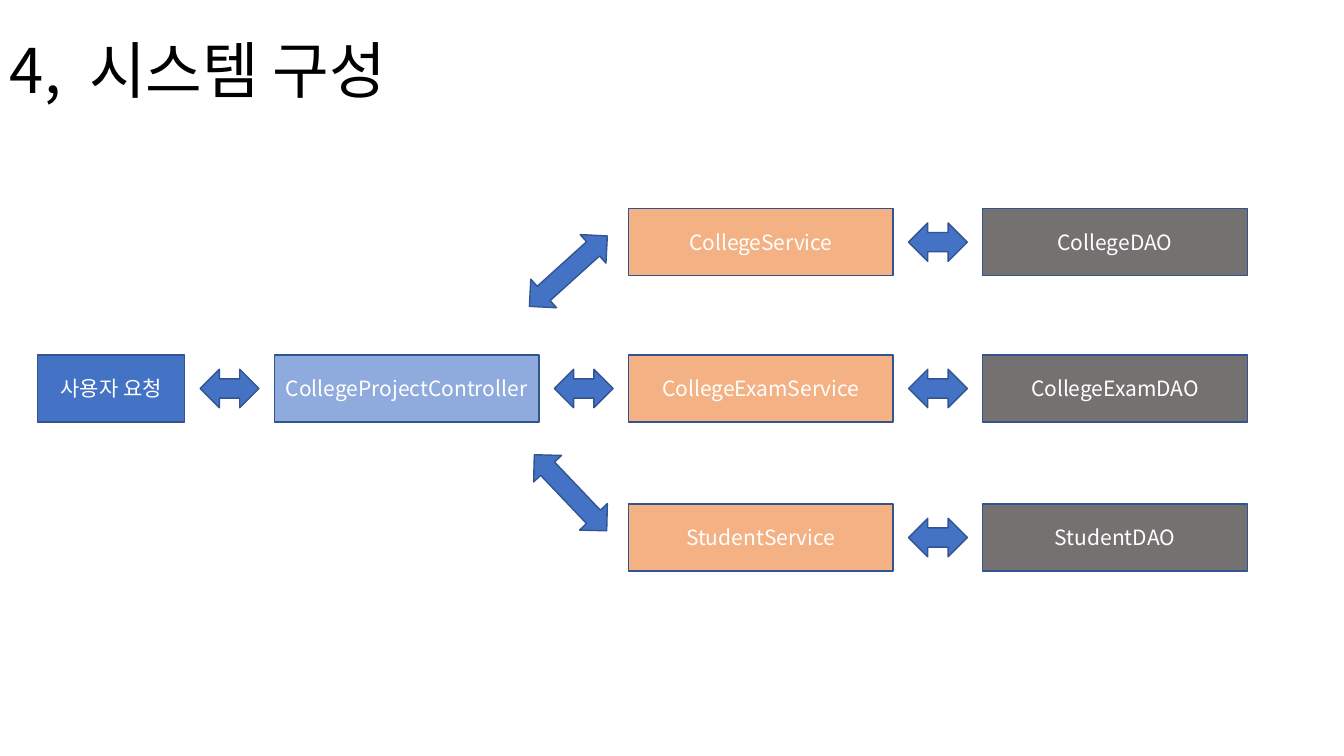
import pptx
import pptx.util
import pptx.dml.color
import pptx.enum.shapes
import pptx.enum.text
import pptx.oxml.ns
import lxml.etree

Pt = pptx.util.Pt
SHAPES = pptx.enum.shapes.MSO_SHAPE
ALIGN = pptx.enum.text.PP_ALIGN
ANCHOR = pptx.enum.text.MSO_ANCHOR

# Content: title pieces as (text, extra letter spacing in points)
TITLE = [("4,", 0), (" ", 10), ("시스템 구성", 0)]
# Layers from left to right: colour, box width, {row: label}
LAYERS = [
    ("request", 105, {1: "사용자 요청"}),
    ("controller", 189, {1: "CollegeProjectController"}),
    ("service", 189, {0: "CollegeService", 1: "CollegeExamService", 2: "StudentService"}),
    ("dao", 189, {0: "CollegeDAO", 1: "CollegeExamDAO", 2: "StudentDAO"}),
]
# Branches from controller to outer services: centre x, centre y, rotation
BRANCHES = [(406, 193.7, 317.9), (407.5, 352, 46.4)]

COLOURS = {
    "request": "4472C4", "controller": "8FAADC", "service": "F4B183",
    "dao": "767171", "arrow": "4472C4", "outline": "325491",
    "title": "000000", "label": "FFFFFF",
}
FONT = "Noto Sans CJK KR"
ROW_TOPS = [149, 253.5, 360]
LEFT, LAYER_GAP, BOX_HEIGHT = 27, 64, 48
ARROW_LENGTH, BRANCH_LENGTH, ARROW_HEIGHT = 42, 75, 27.5


def rgb(name):
    return pptx.dml.color.RGBColor.from_string(COLOURS[name])


def add_run(paragraph, text, size, colour, spacing=0):
    run = paragraph.add_run()
    run.text = text
    run.font.size = Pt(size)
    run.font.name = FONT
    run.font.color.rgb = rgb(colour)
    properties = run.font._element
    east_asian = lxml.etree.SubElement(properties, pptx.oxml.ns.qn("a:ea"))
    east_asian.set("typeface", FONT)
    if spacing:
        properties.set("spc", str(spacing * 100))


def add_block(slide, kind, left, top, width, height, colour):
    block = slide.shapes.add_shape(kind, Pt(left), Pt(top), Pt(width), Pt(height))
    block.shadow.inherit = False
    block.fill.solid()
    block.fill.fore_color.rgb = rgb(colour)
    block.line.color.rgb = rgb("outline")
    block.line.width = Pt(1)
    return block


def add_box(slide, left, top, width, colour, label):
    box = add_block(slide, SHAPES.RECTANGLE, left, top, width, BOX_HEIGHT, colour)
    frame = box.text_frame
    frame.word_wrap = True
    frame.vertical_anchor = ANCHOR.MIDDLE
    frame.paragraphs[0].alignment = ALIGN.CENTER
    add_run(frame.paragraphs[0], label, 15, "label")


def add_arrow(slide, centre_x, centre_y, length, rotation=0):
    arrow = add_block(slide, SHAPES.LEFT_RIGHT_ARROW, centre_x - length / 2,
                      centre_y - ARROW_HEIGHT / 2, length, ARROW_HEIGHT, "arrow")
    arrow.rotation = rotation


def add_title(slide):
    frame = slide.shapes.add_textbox(0, 0, Pt(828), Pt(104.4)).text_frame
    frame.word_wrap = True
    frame.vertical_anchor = ANCHOR.MIDDLE
    frame.paragraphs[0].line_spacing = 0.9
    for text, spacing in TITLE:
        add_run(frame.paragraphs[0], text, 44, "title", spacing)


def main():
    deck = pptx.Presentation()
    deck.slide_width, deck.slide_height = Pt(960), Pt(540)
    slide = deck.slides.add_slide(deck.slide_layouts[6])
    add_title(slide)

    # Layers, with an arrow wherever a row continues from the layer before
    left, previous_rows = LEFT, {}
    for colour, width, rows in LAYERS:
        for row, label in rows.items():
            top = ROW_TOPS[row]
            add_box(slide, left, top, width, colour, label)
            if row in previous_rows:
                add_arrow(slide, left - LAYER_GAP / 2, top + BOX_HEIGHT / 2, ARROW_LENGTH)
        left += width + LAYER_GAP
        previous_rows = rows

    # Slanted arrows to the outer services
    for centre_x, centre_y, rotation in BRANCHES:
        add_arrow(slide, centre_x, centre_y, BRANCH_LENGTH, rotation)

    deck.save("out.pptx")


if __name__ == "__main__":
    main()
